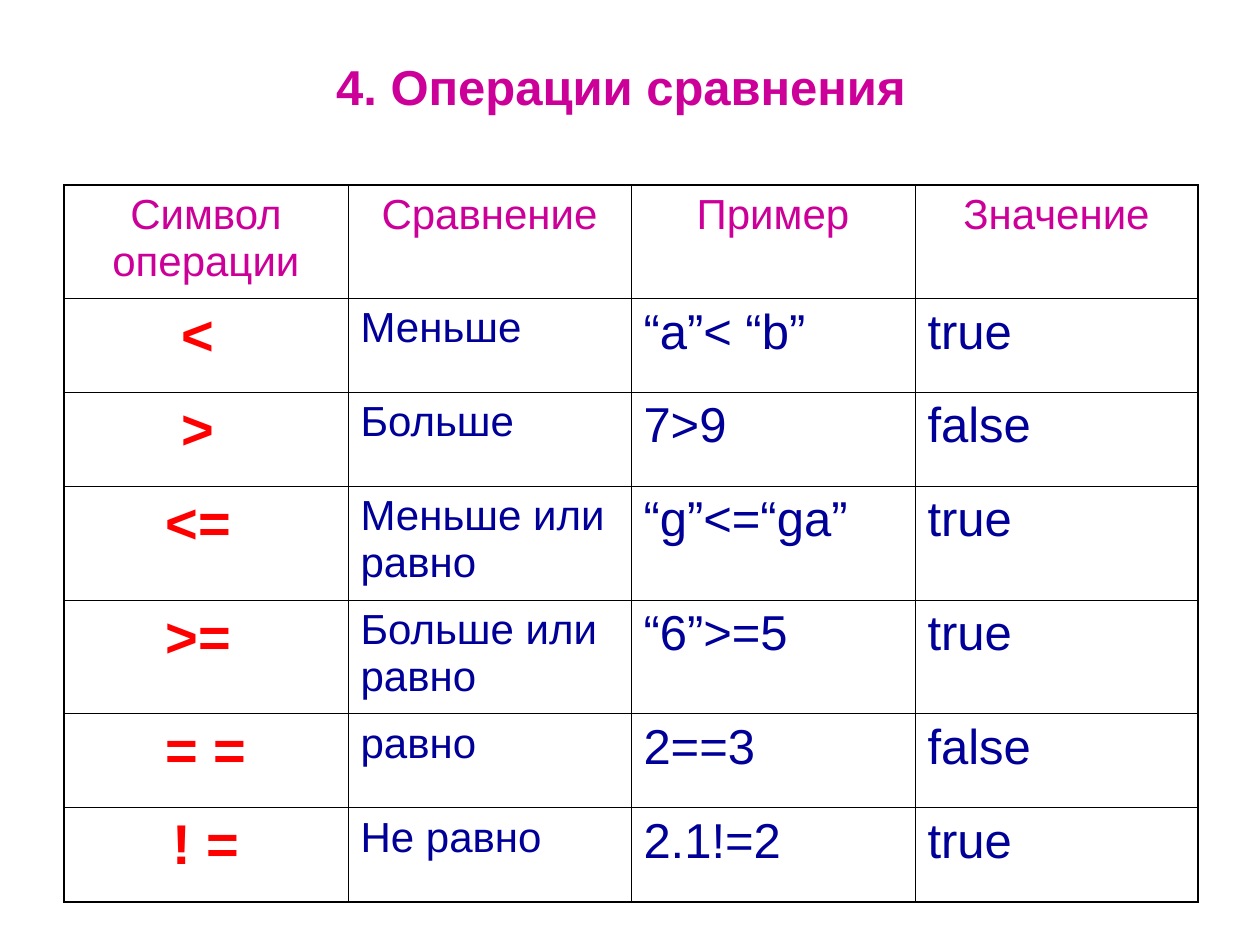
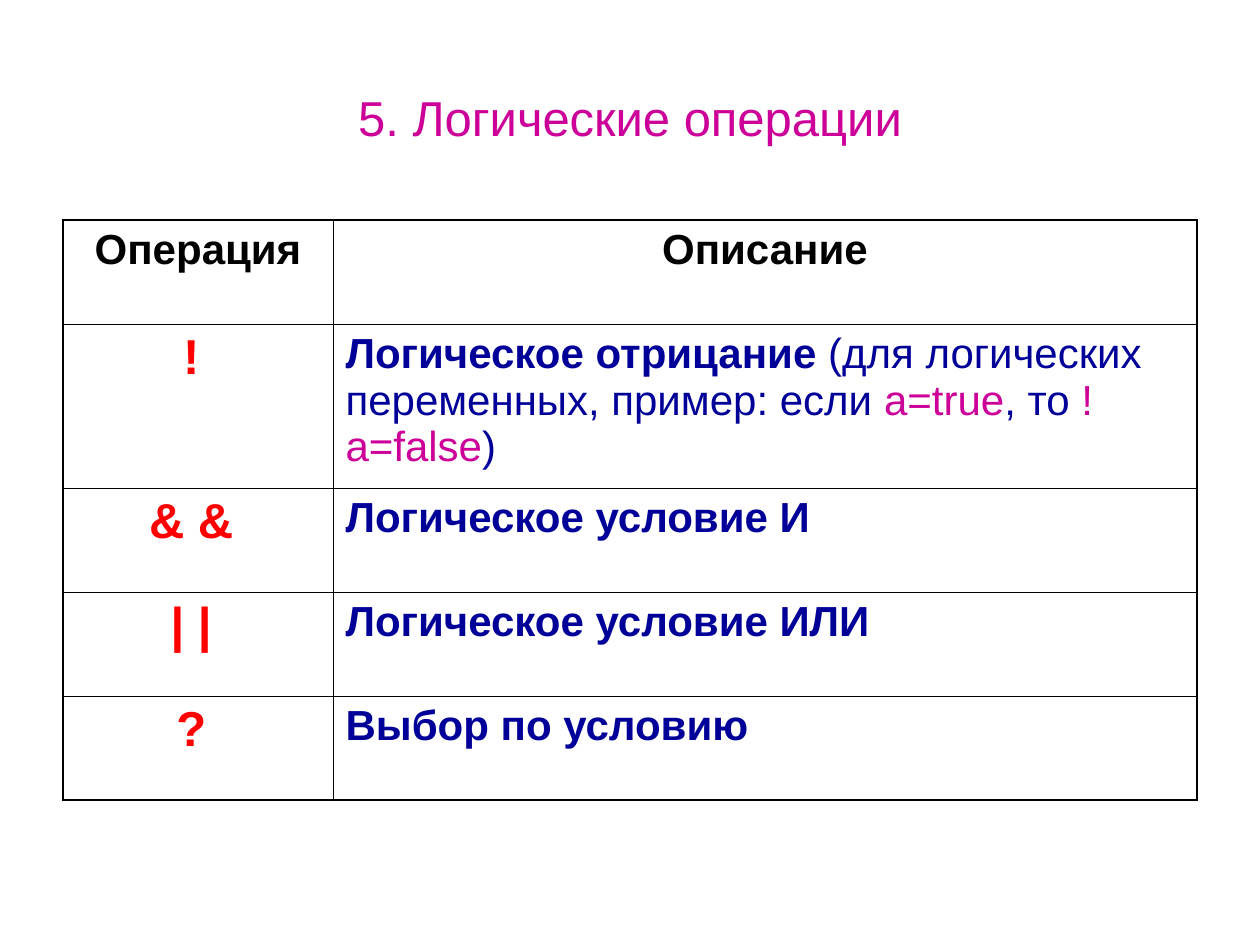
"""Builds two slides with tables of comparison and logical operations."""
from lxml import etree
from pptx import Presentation
from pptx import util as u
from pptx.dml.color import RGBColor
from pptx.enum import text
from pptx.oxml import ns

PX = 914400 / 126
MAGENTA = RGBColor(0xCC, 0x00, 0x99)
RED = RGBColor(0xFF, 0x00, 0x00)
NAVY = RGBColor(0x00, 0x00, 0x99)
BLACK = RGBColor(0x00, 0x00, 0x00)
WHITE = RGBColor(0xFF, 0xFF, 0xFF)


def px(length):
    return u.Emu(round(length * PX))


class Deck:
    """Holds the shared style and the current slide."""

    font = "Arial"
    outer_line = 1.08
    inner_line = 0.45

    def __init__(self):
        self.presentation = Presentation()
        self.presentation.slide_width = px(1260)
        self.presentation.slide_height = px(945)
        self.slide = None

    def add_slide(self):
        layout = self.presentation.slide_layouts[6]
        self.slide = self.presentation.slides.add_slide(layout)

    def add_runs(self, paragraph, runs, size, centred):
        if centred:
            paragraph.alignment = text.PP_ALIGN.CENTER
        for words, color, bold in runs:
            run = paragraph.add_run()
            run.text = words
            run.font.name = self.font
            run.font.size = u.Pt(size)
            run.font.bold = bold
            run.font.color.rgb = color

    def title(self, words, box, bold):
        shape = self.slide.shapes.add_textbox(*map(px, box))
        frame = shape.text_frame
        frame.word_wrap = True
        frame.vertical_anchor = text.MSO_ANCHOR.MIDDLE
        self.add_runs(frame.paragraphs[0], [(words, MAGENTA, bold)], 28, True)

    def border(self, cell, side, width):
        properties = cell._tc.get_or_add_tcPr()
        line = etree.SubElement(properties, ns.qn(f"a:ln{side}"), w=str(u.Pt(width)))
        fill = etree.SubElement(line, ns.qn("a:solidFill"))
        etree.SubElement(fill, ns.qn("a:srgbClr"), val=str(BLACK))

    def cell(self, cell, content, edges):
        runs, size, centred = content
        for side, is_outer in edges.items():
            self.border(cell, side, self.outer_line if is_outer else self.inner_line)
        cell.fill.solid()
        cell.fill.fore_color.rgb = WHITE
        paragraph = cell.text_frame.paragraphs[0]
        paragraph.space_before = u.Pt(size / 4)
        self.add_runs(paragraph, runs, size, centred)

    def table(self, left, top, widths, heights, rows):
        frame = self.slide.shapes.add_table(
            len(heights), len(widths), px(left), px(top), px(sum(widths)), px(sum(heights)))
        table = frame.table
        table.first_row = table.horz_banding = False
        for column, width in zip(table.columns, widths):
            column.width = px(width)
        for row, height in zip(table.rows, heights):
            row.height = px(height)
        last_row, last_column = len(heights) - 1, len(widths) - 1
        for i, row in enumerate(rows):
            for j, content in enumerate(row):
                edges = {"L": j == 0, "R": j == last_column,
                         "T": i == 0, "B": i == last_row}
                self.cell(table.cell(i, j), content, edges)


def entry(words, color, size, bold=False, centred=False):
    return [(words, color, bold)], size, centred


def comparison_slide(deck):
    headings = ["Символ операции", "Сравнение", "Пример", "Значение"]
    operations = [
        ("< ", "Меньше", "“a”< “b”", "true"),
        ("> ", "Больше", "7>9", "false"),
        ("<= ", "Меньше или равно", "“g”<=“ga”", "true"),
        (">= ", "Больше или равно", "“6”>=5", "true"),
        ("= =", "равно", "2==3", "false"),
        ("! =", "Не равно", "2.1!=2", "true"),
    ]
    rows = [[entry(heading, MAGENTA, 24, centred=True) for heading in headings]]
    for symbol, meaning, example, value in operations:
        rows.append([
            entry(symbol, RED, 32, bold=True, centred=True),
            entry(meaning, NAVY, 24),
            entry(example, NAVY, 28),
            entry(value, NAVY, 28),
        ])
    deck.add_slide()
    deck.title("4. Операции сравнения", (54, 27, 1134, 118), True)
    deck.table(64, 185, [284, 283, 284, 283], [113, 94, 94, 114, 113, 94, 94], rows)


def logic_slide(deck):
    negation = [
        ("Логическое отрицание ", NAVY, True),
        ("(для логических переменных, пример: если ", NAVY, False),
        ("a=true", MAGENTA, False),
        (", то ", NAVY, False),
        ("!a=false", MAGENTA, False),
        (")", NAVY, False),
    ]
    operations = [
        ("! ", negation),
        ("& & ", [("Логическое условие И", NAVY, True)]),
        ("| | ", [("Логическое условие ИЛИ", NAVY, True)]),
        ("? ", [("Выбор по условию", NAVY, True)]),
    ]
    rows = [[entry(heading, BLACK, 24, bold=True, centred=True)
             for heading in ("Операция", "Описание")]]
    for symbol, description in operations:
        rows.append([entry(symbol, RED, 28, bold=True, centred=True),
                     (description, 24, False)])
    deck.add_slide()
    deck.title("5. Логические операции", (63, 38, 1134, 158), False)
    deck.table(63, 220, [270, 864], [104, 164, 104, 104, 104], rows)


def main():
    deck = Deck()
    comparison_slide(deck)
    logic_slide(deck)
    deck.presentation.save("out.pptx")


if __name__ == "__main__":
    main()
